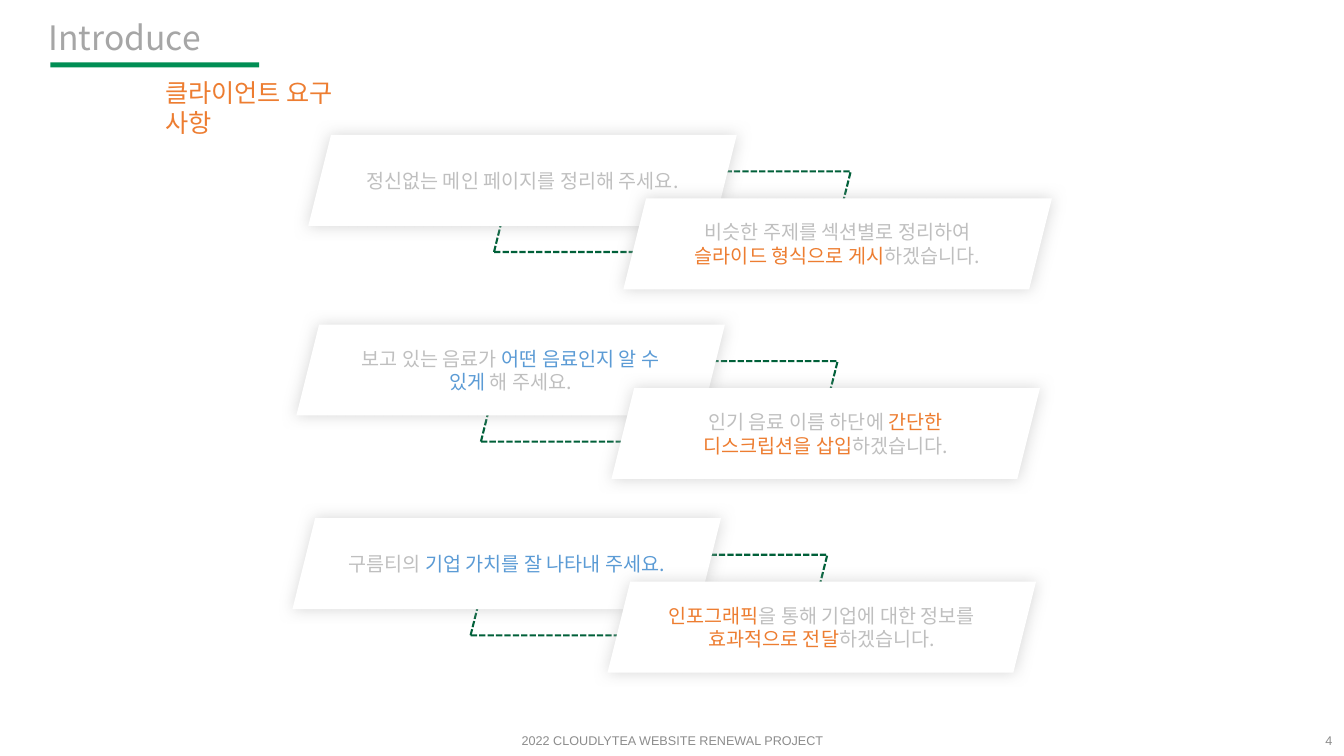
from lxml import etree
from pptx import Presentation
from pptx.dml.color import RGBColor
from pptx.enum.dml import MSO_LINE
from pptx.enum.shapes import MSO_SHAPE
from pptx.enum.text import MSO_ANCHOR, MSO_AUTO_SIZE, PP_ALIGN
from pptx.oxml import parse_xml
from pptx.oxml.ns import nsdecls, qn
from pptx.util import Cm, Pt

SLANT, RECT = MSO_SHAPE.PARALLELOGRAM, MSO_SHAPE.RECTANGLE
LEFT, MID, RIGHT = PP_ALIGN.LEFT, PP_ALIGN.CENTER, PP_ALIGN.RIGHT
TOP, CENTER = MSO_ANCHOR.TOP, MSO_ANCHOR.MIDDLE
FIXED, DASH = MSO_AUTO_SIZE.NONE, MSO_LINE.SQUARE_DOT

WHITE = RGBColor(0xFF, 0xFF, 0xFF)
PALE = RGBColor(0xBF, 0xBF, 0xBF)
GRAY = RGBColor(0xA6, 0xA6, 0xA6)
DARK = RGBColor(0x8C, 0x8C, 0x8C)
GREEN = RGBColor(0x00, 0x8E, 0x54)
PINE = RGBColor(0x00, 0x60, 0x39)
ORANGE = RGBColor(0xED, 0x7D, 0x31)
BLUE = RGBColor(0x5B, 0x9B, 0xD5)

SHADOW = (
    f'<a:outerShdw {nsdecls("a")} blurRad="{Pt(11)}" dist="0" dir="6960000" algn="ctr" rotWithShape="0">'
    f'<a:srgbClr val="{PALE}"><a:alpha val="61000"/></a:srgbClr></a:outerShdw>'
)

ROWS = [
    (7.77, 3.4, 12.45,
     [[("정신없는 메인 페이지를 정리해 주세요.", PALE)]],
     [[("비슷한 주제를 섹션별로 정리하여 ", PALE), ("슬라이드 형식으로 게시", ORANGE),
       ("하겠습니다.", PALE)]]),
    (7.47, 8.18, 12.12,
     [[("보고 있는 음료가 ", PALE), ("어떤 음료인지 알 수 있게 ", BLUE), ("해 주세요.", PALE)]],
     [[("인기 음료 이름 하단에 ", PALE), ("간단한 디스크립션을 삽입", ORANGE),
       ("하겠습니다.", PALE)]]),
    (7.37, 13.06, 11.86,
     [[("구름티의 ", PALE), ("기업 가치를 잘 나타내 주세요.", BLUE)]],
     [[("인포그래픽", ORANGE), ("을 통해 기업에 대한 정보를", PALE)],
      [("효과적으로 전달", ORANGE), ("하겠습니다.", PALE)]]),
]


class Deck:
    sans = "Noto Sans CJK KR"
    plain = "Arial"

    def __init__(self):
        self.file = Presentation()
        self.file.slide_width, self.file.slide_height = Cm(33.87), Cm(19.05)
        self.slide = self.file.slides.add_slide(self.file.slide_layouts[5])

    def fill_text(self, shape, paras, size, align=MID, anchor=CENTER, font=sans):
        frame = shape.text_frame
        frame.word_wrap = True
        frame.auto_size = FIXED
        frame.vertical_anchor = anchor
        for i, runs in enumerate(paras):
            para = frame.add_paragraph() if i else frame.paragraphs[0]
            para.alignment = align
            for text, color in runs:
                run = para.add_run()
                run.text = text
                run.font.size = Pt(size)
                run.font.color.rgb = color
                run.font.name = font
                east = etree.SubElement(run.font._element, qn("a:ea"))
                east.set("typeface", font)

    def title(self, box, text, color):
        shape = self.slide.shapes.title
        shape.left, shape.top, shape.width, shape.height = map(Cm, box)
        self.fill_text(shape, [[(text, color)]], 24, LEFT, TOP)

    def label(self, box, text, color, size, align, anchor=CENTER, font=plain):
        shape = self.slide.shapes.add_textbox(*map(Cm, box))
        self.fill_text(shape, [[(text, color)]], size, align, anchor, font)

    def block(self, kind, box, fill=None):
        shape = self.slide.shapes.add_shape(kind, *map(Cm, box))
        shape.shadow.inherit = False
        if fill is None:
            shape.fill.background()
        else:
            shape.fill.solid()
            shape.fill.fore_color.rgb = fill
        shape.line.fill.background()
        return shape

    def loop(self, left, top):
        shape = self.block(SLANT, (left, top, 8.99, 2.03))
        shape.line.color.rgb = PINE
        shape.line.width = Pt(1.5)
        shape.line.dash_style = DASH

    def card(self, left, top, paras):
        shape = self.block(SLANT, (left, top, 10.8, 2.29), WHITE)
        shape._element.spPr.find(qn("a:effectLst")).append(parse_xml(SHADOW))
        self.fill_text(shape, paras, 14)


def main():
    deck = Deck()
    deck.title((0.97, 0.3, 4.55, 1.27), "Introduce", GRAY)
    deck.block(RECT, (1.27, 1.57, 5.26, 0.13), GREEN)
    deck.label((3.91, 1.83, 5.79, 1.02), "클라이언트 요구 사항", ORANGE, 18, LEFT, TOP, deck.sans)
    for left, top, bend, ask, reply in ROWS:
        deck.loop(bend, top + 0.92)
        deck.card(left, top, ask)
        deck.card(left + 7.94, top + 1.6, reply)
    deck.label((11.23, 18.16, 11.43, 1.02), "2022 CLOUDLYTEA WEBSITE RENEWAL PROJECT", DARK, 9, MID)
    deck.label((26.21, 18.16, 7.62, 1.02), "4", DARK, 9, RIGHT)
    deck.file.save("out.pptx")


if __name__ == "__main__":
    main()
